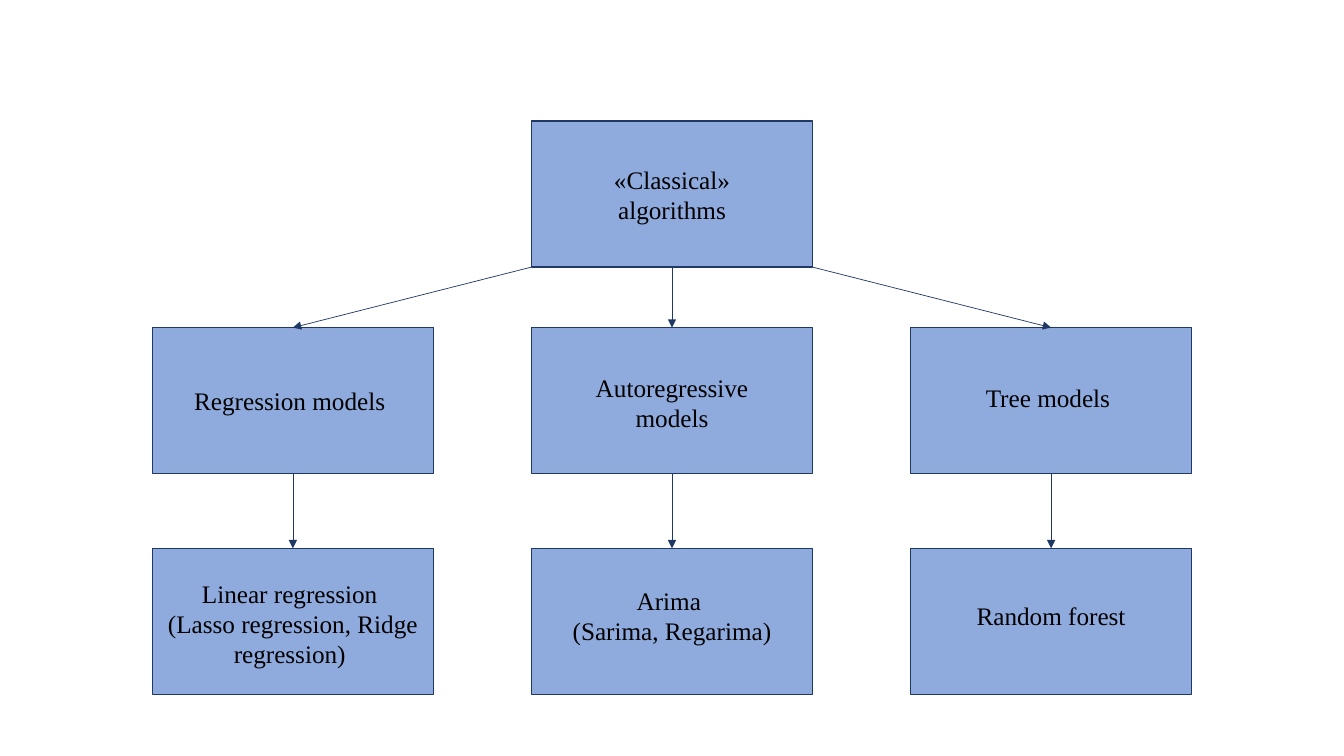
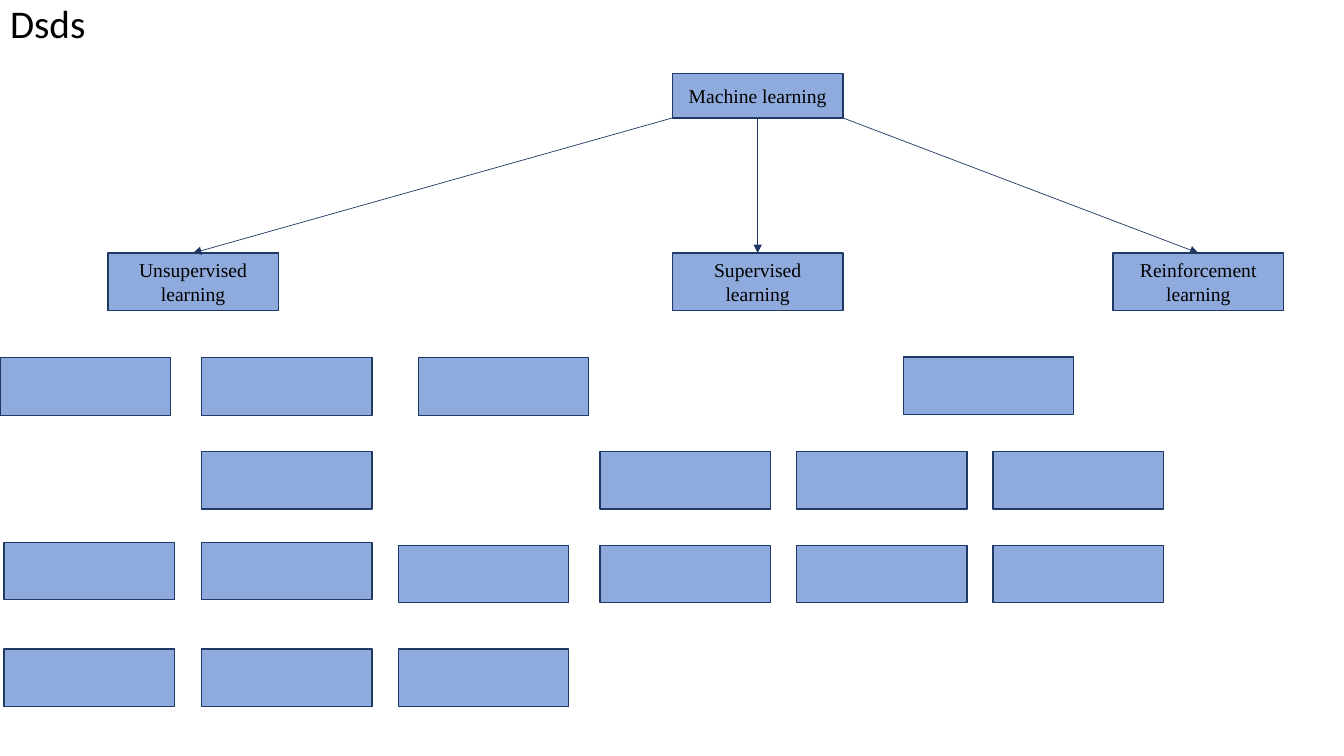
import collections

import lxml.etree
import pptx
import pptx.dml.color
import pptx.enum.shapes
import pptx.enum.text
import pptx.oxml.ns
import pptx.util

Inches = pptx.util.Inches
Pt = pptx.util.Pt
Align = pptx.enum.text.PP_ALIGN
Anchor = pptx.enum.text.MSO_ANCHOR
Box = collections.namedtuple("Box", "left top width height")

SLIDE = Box(0, 0, 13.33, 7.5)
BOX_FILL = "8FAADC"
BOX_LINE = "203864"
TEXT = "000000"
TITLE_FONT = "Calibri"
LABEL_FONT = "Times New Roman"
TITLE_ONLY, BLANK = 5, 6


def color(hex_code):
    """Turn a hex string into a colour."""
    return pptx.dml.color.RGBColor.from_string(hex_code)


def write(frame, text, size=18, font=LABEL_FONT, align=Align.CENTER,
          anchor=Anchor.MIDDLE, side=0.1, shift=0, spacing=1, before=0):
    """Fill a text frame, one paragraph a line; shift moves the text down."""
    frame.word_wrap = True
    frame.auto_size = pptx.enum.text.MSO_AUTO_SIZE.NONE
    frame.vertical_anchor = anchor
    frame.margin_left = frame.margin_right = Inches(side)
    frame.margin_top = Inches(0.05 + 2 * max(shift, 0))
    frame.margin_bottom = Inches(0.05 + 2 * max(-shift, 0))
    for index, line in enumerate(text.split("\n")):
        paragraph = frame.add_paragraph() if index else frame.paragraphs[0]
        paragraph.alignment = align
        paragraph.line_spacing = spacing
        paragraph.space_before = Pt(before)
        run = paragraph.add_run()
        run.text = line
        run.font.size = Pt(size)
        run.font.name = font
        run.font.color.rgb = color(TEXT)


def draw_node(slide, box, text="", **text_format):
    """Draw one box of a tree, with its label if it has one."""
    node = slide.shapes.add_shape(
        pptx.enum.shapes.MSO_SHAPE.RECTANGLE, *map(Inches, box))
    node.shadow.inherit = False
    node.fill.solid()
    node.fill.fore_color.rgb = color(BOX_FILL)
    node.line.color.rgb = color(BOX_LINE)
    node.line.width = Pt(1)
    if text:
        write(node.text_frame, text, **text_format)


def draw_arrow(slide, start, end):
    """Draw a thin arrow between two points."""
    arrow = slide.shapes.add_connector(
        pptx.enum.shapes.MSO_CONNECTOR.STRAIGHT, *map(Inches, start + end))
    arrow.line.color.rgb = color(BOX_LINE)
    arrow.line.width = Pt(0.5)
    qn = pptx.oxml.ns.qn
    properties = arrow.element.spPr
    lxml.etree.SubElement(properties.find(qn("a:ln")), qn("a:tailEnd"), type="triangle")
    lxml.etree.SubElement(properties, qn("a:effectLst"))


def top_center(box):
    """Give the middle of a box's top edge."""
    return box.left + box.width / 2, box.top


def bottom_point(box, share):
    """Give the point at a share of a box's bottom edge."""
    return box.left + box.width * share, box.top + box.height


def draw_branches(slide, parent, children):
    """Link the corners and middle of a parent to its three children."""
    for share, child in zip((0, 0.5, 1), children):
        draw_arrow(slide, bottom_point(parent, share), top_center(child))


def build_algorithms(presentation):
    """Build the tree of classical algorithms."""
    slide = presentation.slides.add_slide(presentation.slide_layouts[BLANK])
    width, height, pitch = 2.79, 1.45, 3.76
    lefts = [1.51 + pitch * column for column in range(3)]
    root = Box(lefts[1], 1.2, width, height)
    families = [Box(left, 3.25, width, height) for left in lefts]
    examples = [Box(left, 5.44, width, height) for left in lefts]
    family_labels = [
        ("Regression models ", 0),
        ("Autoregressive models", 0.02),
        ("Tree models ", -0.03),
    ]
    example_labels = [
        ("Linear regression \n(Lasso regression, Ridge regression) ", 0.02),
        ("Arima \n(Sarima, Regarima)", -0.06),
        ("Random forest", -0.06),
    ]

    draw_node(slide, root, "«Classical»\nalgorithms", side=0.33)
    for box, (text, shift) in zip(families, family_labels):
        draw_node(slide, box, text, side=0.33, shift=shift)
    for box, (text, shift) in zip(examples, example_labels):
        draw_node(slide, box, text, shift=shift)
    draw_branches(slide, root, families)
    for family, example in zip(families, examples):
        draw_arrow(slide, bottom_point(family, 0.5), top_center(example))


def build_learning(presentation):
    """Build the tree of machine learning with its unlabelled boxes."""
    slide = presentation.slides.add_slide(presentation.slide_layouts[TITLE_ONLY])
    title = slide.shapes.title
    title.left, title.top, title.width, title.height = map(Inches, SLIDE)
    write(title.text_frame, "Dsds", size=28, font=TITLE_FONT, align=Align.LEFT,
          anchor=Anchor.TOP, spacing=0.9, before=10)

    width, height = 1.69, 0.57
    root = Box(6.67, 0.73, width, 0.44)
    kinds = {
        "Unsupervised learning": Box(1.07, 2.51, width, height),
        "Supervised learning": Box(6.67, 2.51, width, height),
        "Reinforcement learning": Box(11.04, 2.51, width, height),
    }
    columns = [0.04, 2, 3.95, 5.95, 7.9, 9.85]
    rows = [
        (3.55, [0, 2, 4.15]),
        (3.54, [8.96]),
        (4.48, columns[1:2] + columns[3:]),
        (5.38, columns[:2]),
        (5.41, columns[2:]),
        (6.44, columns[:3]),
    ]

    draw_node(slide, root, "Machine learning", size=14)
    for text, box in kinds.items():
        draw_node(slide, box, text, size=14)
    draw_branches(slide, root, kinds.values())
    for top, lefts in rows:
        for left in lefts:
            draw_node(slide, Box(left, top, width, height))


def main():
    """Build both slides and save them."""
    presentation = pptx.Presentation()
    presentation.slide_width = Inches(SLIDE.width)
    presentation.slide_height = Inches(SLIDE.height)
    build_algorithms(presentation)
    build_learning(presentation)
    presentation.save("out.pptx")


if __name__ == "__main__":
    main()
